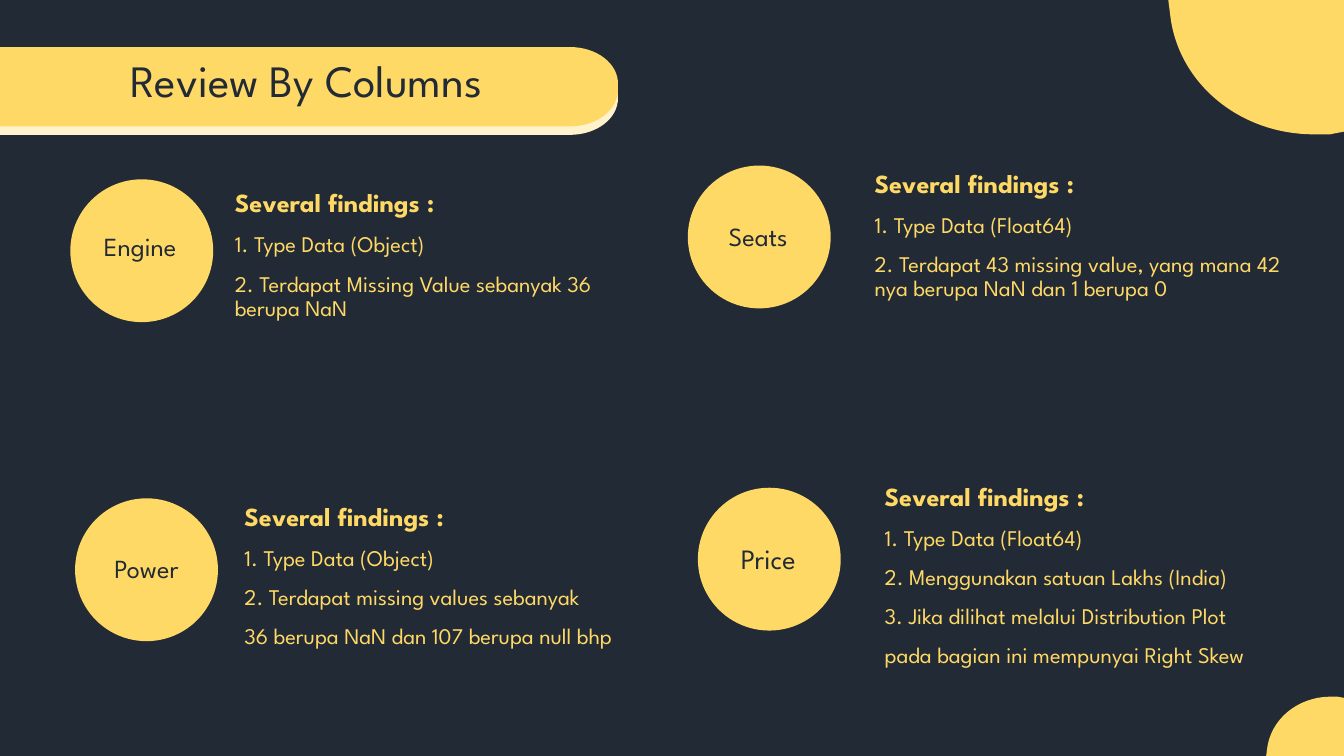
from pptx import Presentation
from pptx.dml.color import RGBColor
from pptx.enum.shapes import MSO_SHAPE as Preset
from pptx.enum.text import MSO_ANCHOR as Anchor, PP_ALIGN as Align
from pptx.oxml.ns import qn
from pptx.util import Cm, Pt

COLORS = {"night": "222A35", "yellow": "FFD966", "cream": "FFF2CC"}
FONT = "League Spartan"
SLIDE_W, SLIDE_H = 25.4, 14.29
CIRCLE = 2.7
NOTES_W, NOTES_H = 8.26, 3.89


def paint(shape, color):
    shape.shadow.inherit = False
    shape.fill.solid()
    shape.fill.fore_color.rgb = RGBColor.from_string(COLORS[color])
    shape.line.fill.background()


def add_preset(slide, preset, left, top, width, height, color):
    paint(slide.shapes.add_shape(preset, Cm(left), Cm(top), Cm(width), Cm(height)), color)


def add_outline(slide, points, curves, color):
    """Closed outline; each index in curves starts three points of one Bezier curve."""
    start, *rest = [(Cm(x), Cm(y)) for x, y in points]
    builder = slide.shapes.build_freeform(*start)
    builder.add_line_segments(rest, close=True)
    shape = builder.convert_to_shape()
    lines = list(shape._element.iter(qn("a:lnTo")))
    for index in curves:
        first, *others = lines[index - 1:index + 2]
        first.tag = qn("a:cubicBezTo")
        for line in others:
            first.append(line[0])
            line.getparent().remove(line)
    paint(shape, color)


def add_text(slide, text, left, top, width, height, size=12, color="night",
             align=Align.LEFT, spacing=1.0, before=0, heading_size=None):
    """Each line is a paragraph; heading_size makes the first one a bold heading."""
    frame = slide.shapes.add_textbox(Cm(left), Cm(top), Cm(width), Cm(height)).text_frame
    frame.word_wrap = True
    frame.vertical_anchor = Anchor.TOP
    frame.margin_left = frame.margin_right = Cm(0.19)
    frame.margin_top = frame.margin_bottom = Cm(0.1)
    for i, line in enumerate(text.split("\n")):
        paragraph = frame.paragraphs[0] if i == 0 else frame.add_paragraph()
        paragraph.alignment = align
        paragraph.line_spacing = spacing
        paragraph.space_before = Pt(before if i else 0)
        run = paragraph.add_run()
        run.text = line
        is_heading = bool(heading_size) and i == 0
        run.font.name = FONT
        run.font.size = Pt(heading_size if is_heading else size)
        run.font.bold = is_heading
        run.font.color.rgb = RGBColor.from_string(COLORS[color])


def add_banner_bar(slide, left, top, width, height, color):
    right, bottom = left + width, top + height
    bend, rx, ry = right - 0.91, 0.4, 0.31
    points = [(left, top), (bend, top),
              (right - rx, top), (right, top + ry), (right, top + 0.69),
              (right, bottom - 0.69),
              (right, bottom - ry), (right - rx, bottom), (bend, bottom),
              (left, bottom)]
    add_outline(slide, points, (2, 6), color)


def add_corner(slide, right, edge, width, height):
    """Rounded corner patch; a negative height grows it upwards from the edge."""
    shares = [(1, 0), (0, 0), (0, 0.98), (0.08, 1),
              (0.11, 1), (0.14, 1), (0.17, 1),
              (0.6, 1), (0.95, 0.61), (0.99, 0.1)]
    points = [(right - width * x, edge + height * y) for x, y in shares]
    add_outline(slide, points, (4, 7), "yellow")


def add_badge(slide, left, top, name, label_dx=0, label_dy=0.92,
              label_w=CIRCLE, label_h=0.77, size=14):
    add_preset(slide, Preset.OVAL, left, top, CIRCLE, CIRCLE, "yellow")
    add_text(slide, name, left + label_dx, top + label_dy, label_w, label_h,
             size=size, align=Align.CENTER)


def add_findings(slide, left, top, findings):
    add_text(slide, "Several findings :\n" + findings, left, top, NOTES_W, NOTES_H,
             color="yellow", spacing=0.9, before=8, heading_size=14)


BADGES = [
    dict(left=1.42, top=9.42, name="Power"),
    dict(left=13, top=3.13, name="Seats", label_dx=-0.02, label_dy=0.93),
    dict(left=13.19, top=9.22, name="Price", label_dx=-0.18, label_w=3.02,
         label_h=0.83, size=15),
    dict(left=1.33, top=3.39, name="Engine", label_dx=-0.14, label_dy=0.86, label_w=2.92),
]
FINDINGS = [
    (4.25, 3.5, "1. Type Data (Object)\n2. Terdapat Missing Value sebanyak 36 berupa NaN"),
    (4.43, 9.42, "1. Type Data (Object)\n2. Terdapat missing values sebanyak\n"
                 "36 berupa NaN dan 107 berupa null bhp"),
    (16.34, 3.13, "1. Type Data (Float64)\n"
                  "2. Terdapat 43 missing value, yang mana 42 nya berupa NaN dan 1 berupa 0"),
    (16.53, 9.04, "1. Type Data (Float64)\n2. Menggunakan satuan Lakhs (India)\n"
                  "3. Jika dilihat melalui Distribution Plot\n"
                  "pada bagian ini mempunyai Right Skew"),
]

deck = Presentation()
deck.slide_width, deck.slide_height = Cm(SLIDE_W), Cm(SLIDE_H)
slide = deck.slides.add_slide(deck.slide_layouts[6])

# Backdrop, banner and corner patches
add_preset(slide, Preset.RECTANGLE, 0, 0, SLIDE_W, SLIDE_H, "night")
add_banner_bar(slide, 0, 1.05, 11.68, 1.5, "cream")
add_corner(slide, SLIDE_W, 0, 3.32, 2.54)
add_corner(slide, SLIDE_W, SLIDE_H, 1.47, -1.12)
add_banner_bar(slide, 0, 0.89, 11.68, 1.5, "yellow")
add_text(slide, "Review By Columns", 0.61, 1.02, 10.36, 1.32, size=24,
         align=Align.CENTER, spacing=0.9)

# Column names and their findings
for badge in BADGES:
    add_badge(slide, **badge)
for left, top, findings in FINDINGS:
    add_findings(slide, left, top, findings)

deck.save("out.pptx")
